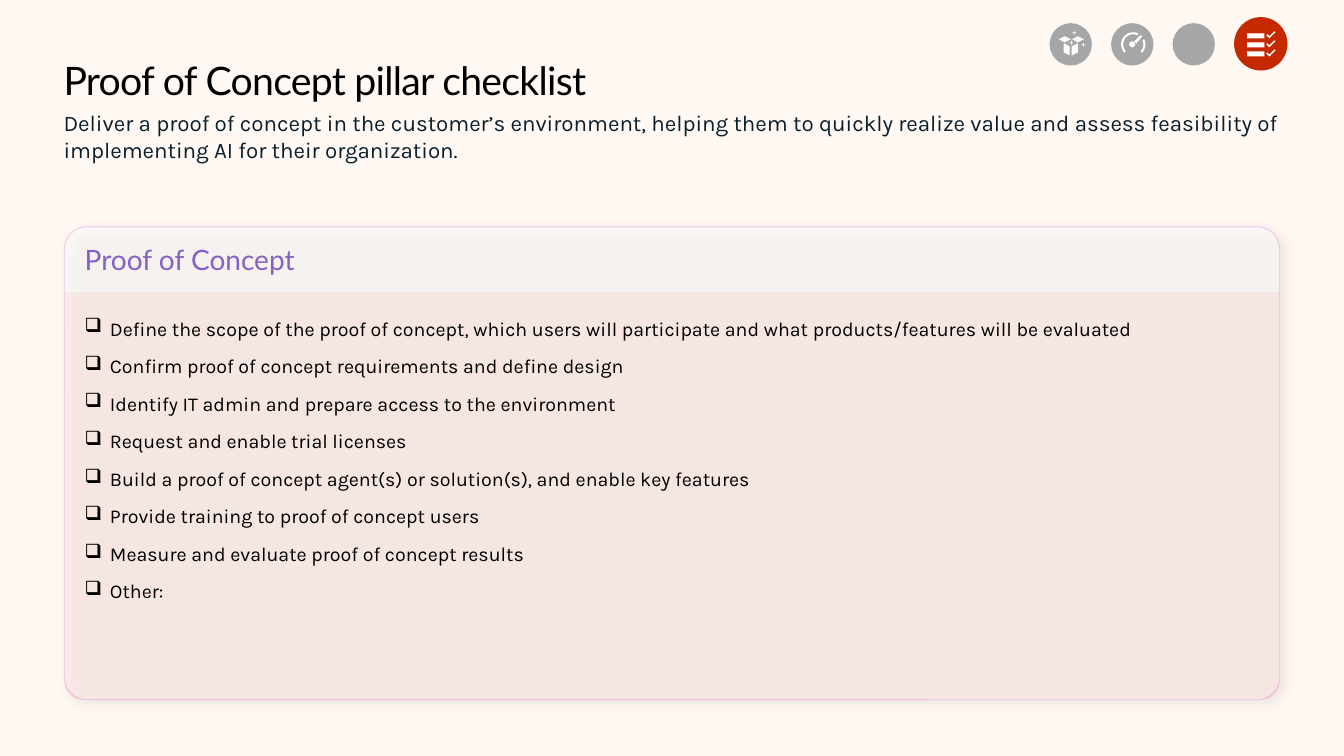
import math

import lxml.etree
import pptx
import pptx.dml.color
import pptx.enum.shapes
import pptx.enum.text
import pptx.oxml
import pptx.oxml.ns
import pptx.util

Inches = pptx.util.Inches
Pt = pptx.util.Pt
SHAPES = pptx.enum.shapes.MSO_SHAPE
qn = pptx.oxml.ns.qn

WHITE, GRAY, RED = "FFFFFF", "A6A6A6", "C52900"
MARGIN = 0.64
PANEL_WIDTH = 12.05
BADGE_SIZE = 0.42
BADGE_TOP = 0.23

CHECKLIST = [
    "Define the scope of the proof of concept, which users will participate and what products/features will be evaluated",
    "Confirm proof of concept requirements and define design",
    "Identify IT admin and prepare access to the environment",
    "Request and enable trial licenses",
    "Build a proof of concept agent(s) or solution(s), and enable key features",
    "Provide training to proof of concept users",
    "Measure and evaluate proof of concept results",
    "Other:",
]


def color(hex_string):
    return pptx.dml.color.RGBColor.from_string(hex_string)


def paint(shape, fill):
    shape.shadow.inherit = False
    shape.fill.solid()
    shape.fill.fore_color.rgb = color(fill)
    shape.line.fill.background()
    return shape


def add_preset(slide, kind, box, fill, adjustments=()):
    shape = slide.shapes.add_shape(kind, *map(Inches, box))
    for index, value in enumerate(adjustments):
        shape.adjustments[index] = value
    return paint(shape, fill)


def add_polygon(slide, points, fill=WHITE):
    corners = [(Inches(x), Inches(y)) for x, y in points]
    builder = slide.shapes.build_freeform(*corners[0], scale=1.0)
    builder.add_line_segments(corners[1:], close=True)
    return paint(builder.convert_to_shape(), fill)


def set_alpha(fill_element, percent):
    rgb = fill_element.find(".//" + qn("a:srgbClr"))
    lxml.etree.SubElement(rgb, qn("a:alpha")).set("val", str(percent * 1000))


def add_text_frame(slide, box, insets):
    frame = slide.shapes.add_textbox(*map(Inches, box)).text_frame
    frame.word_wrap = True
    frame.vertical_anchor = pptx.enum.text.MSO_ANCHOR.TOP
    (frame.margin_left, frame.margin_top,
     frame.margin_right, frame.margin_bottom) = map(Inches, insets)
    return frame


def add_run(paragraph, text, font, size, text_color):
    run = paragraph.add_run()
    run.text = text
    run.font.name = font
    run.font.size = Pt(size)
    run.font.color.rgb = color(text_color)
    return run


def add_headings(slide):
    title = add_text_frame(slide, (0.63, 0.56, PANEL_WIDTH, 0.47), (0, 0, 0, 0))
    title_run = add_run(title.paragraphs[0], "Proof of Concept pillar checklist",
                        "Lato", 28, "000000")
    title_run.font._element.set("spc", "-50")
    summary = add_text_frame(slide, (0.63, 1.03, PANEL_WIDTH, 0.35), (0, 0.05, 0, 0))
    add_run(summary.paragraphs[0],
            "Deliver a proof of concept in the customer’s environment, helping them to quickly "
            "realize value and assess feasibility of implementing AI for their organization.",
            "Karla", 16, "091F2C")


def add_panel(slide):
    add_preset(slide, SHAPES.ROUND_2_SAME_RECTANGLE,
               (MARGIN, 2.9, PANEL_WIDTH, 4.04), "FFDED7", (0, 0.043))
    card = add_preset(slide, SHAPES.ROUNDED_RECTANGLE,
                      (MARGIN, 2.25, PANEL_WIDTH, 4.69), WHITE, (0.047,))
    card.line.color.rgb = color("E6B1E7")
    card.line.width = Pt(1)
    properties = card._element.spPr
    set_alpha(properties.find(qn("a:solidFill")), 50)
    set_alpha(properties.find(qn("a:ln")), 46)
    effects = properties.find(qn("a:effectLst"))
    shadow = lxml.etree.SubElement(
        effects, qn("a:outerShdw"), blurRad=str(Pt(10)), dist=str(Pt(5)),
        dir=str(45 * 60000), algn="tl", rotWithShape="0")
    lxml.etree.SubElement(shadow, qn("a:srgbClr"), val="000000")
    set_alpha(shadow, 14)
    header = add_text_frame(slide, (MARGIN, 2.29, 6.18, 0.57), (0.2, 0.15, 0.15, 0))
    header.paragraphs[0].line_spacing = 0.9
    add_run(header.paragraphs[0], "Proof of Concept", "Lato", 20, "8661C5")


def add_checklist(slide):
    frame = add_text_frame(slide, (MARGIN, 2.94, PANEL_WIDTH, 3.27), (0.2,) * 4)
    for index, item in enumerate(CHECKLIST):
        paragraph = frame.add_paragraph() if index else frame.paragraphs[0]
        properties = paragraph._p.get_or_add_pPr()
        properties.set("marL", str(Inches(0.25)))
        properties.set("indent", str(-Inches(0.25)))
        lxml.etree.SubElement(properties, qn("a:buChar"), char="❑")
        if index:
            paragraph.space_before = Pt(4)
        paragraph.space_after = Pt(6)
        add_run(paragraph, item, "Karla", 14, "000000")


def add_badge(slide, left):
    add_preset(slide, SHAPES.OVAL, (left, BADGE_TOP, BADGE_SIZE, BADGE_SIZE), GRAY)


def add_checklist_icon(slide):
    add_preset(slide, SHAPES.OVAL, (12.24, 0.17, 0.53, 0.53), RED)
    check = [(0.08, 0), (0.03, 0.05), (0.01, 0.03), (0, 0.04), (0.03, 0.07), (0.09, 0.01)]
    for row in range(3):
        offset = 0.09 * row
        add_preset(slide, SHAPES.RECTANGLE, (12.37, 0.33 + offset, 0.17, 0.05), WHITE)
        add_polygon(slide, [(12.56 + x, 0.31 + offset + y) for x, y in check])


def add_gauge_arc(slide, center, start, end):
    def rim(radius, first, last):
        angles = [math.radians(first + (last - first) * step / 24) for step in range(25)]
        return [(center[0] + radius * math.cos(a), center[1] + radius * math.sin(a))
                for a in angles]
    add_polygon(slide, rim(0.12, start, end) + rim(0.1, end, start))


def add_gauge_icon(slide):
    add_badge(slide, 11.02)
    center = (11.24, 0.44)
    add_gauge_arc(slide, center, 137, 295)
    add_gauge_arc(slide, center, -25, 43)
    add_polygon(slide, [(11.25, 0.41), (11.31, 0.35), (11.33, 0.36), (11.27, 0.43)])
    add_preset(slide, SHAPES.OVAL, (11.2, 0.41, 0.06, 0.06), WHITE)


def add_box_icon(slide):
    add_badge(slide, 10.41)
    for left in (10.5, 10.63):
        add_preset(slide, SHAPES.DIAMOND, (left, 0.36, 0.12, 0.06), WHITE)
    for outer, inner in ((10.55, 10.61), (10.69, 10.63)):
        add_polygon(slide, [(outer, 0.43), (inner, 0.46), (inner, 0.55), (outer, 0.52)])
    for left, top in ((10.63, 0.3), (10.6, 0.4), (10.72, 0.42)):
        add_preset(slide, SHAPES.STAR_4_POINT, (left, top, 0.05, 0.05), WHITE)


def main():
    presentation = pptx.Presentation()
    presentation.slide_width = Inches(13.33)
    presentation.slide_height = Inches(7.5)
    slide = presentation.slides.add_slide(presentation.slide_layouts[6])
    slide.background.fill.solid()
    slide.background.fill.fore_color.rgb = color("FFF8F3")
    add_headings(slide)
    add_panel(slide)
    add_checklist(slide)
    add_checklist_icon(slide)
    add_gauge_icon(slide)
    add_box_icon(slide)
    add_badge(slide, 11.63)
    presentation.save("out.pptx")


if __name__ == "__main__":
    main()
